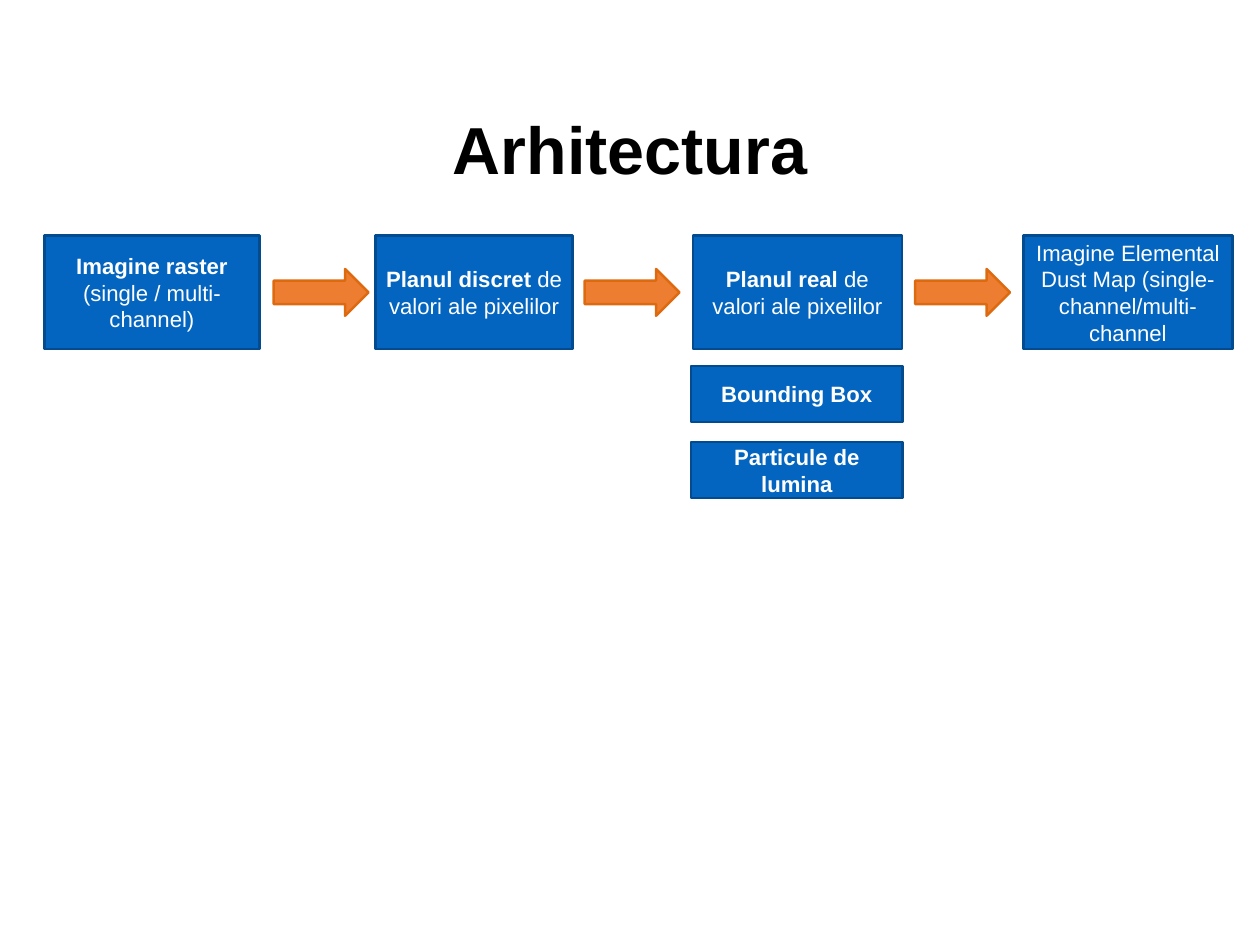
from dataclasses import dataclass

from pptx import Presentation
from pptx.dml.color import RGBColor
from pptx.enum.shapes import MSO_SHAPE as Shape
from pptx.enum.text import MSO_ANCHOR as Anchor, PP_ALIGN as Align
from pptx.util import Pt


@dataclass(frozen=True)
class Theme:
    """Colours, type sizes and line width of the slide."""
    font: str = "Arial"
    title_size: float = 54
    body_size: float = 18
    line_width: float = 2
    title: str = "000000"
    label: str = "FFFFFF"
    box: tuple = ("0365C0", "024B8E")
    arrow: tuple = ("ED7D31", "DE6A10")


THEME = Theme()
STAGES = [
    (0, 175, [[("Imagine raster", True)], [("(single / multi-channel)", False)]]),
    (269.3, 160, [[("Planul discret", True), (" de valori ale pixelilor", False)]]),
    (527, 170, [[("Planul real", True), (" de valori ale pixelilor", False)]]),
    (795.6, 170, [[("Imagine Elemental Dust Map (single-channel/multi-channel", False)]]),
]
ARROW_LEFTS = [186.5, 439.2, 707.8]
DETAILS = ["Bounding Box", "Particule de lumina"]


def apply_format(target, values):
    """Set each named attribute on the target."""
    for name, value in values.items():
        setattr(target, name, value)


def write_text(shape, paragraphs, size, color, margins):
    """Write centred paragraphs of (text, bold) runs."""
    frame = shape.text_frame
    horizontal, vertical = (Pt(margin) for margin in margins)
    apply_format(frame, {
        "word_wrap": True, "vertical_anchor": Anchor.MIDDLE,
        "margin_left": horizontal, "margin_right": horizontal,
        "margin_top": vertical, "margin_bottom": vertical,
    })
    for index, runs in enumerate(paragraphs):
        paragraph = frame.add_paragraph() if index else frame.paragraphs[0]
        paragraph.alignment = Align.CENTER
        for text, bold in runs:
            run = paragraph.add_run()
            run.text = text
            apply_format(run.font, {"name": THEME.font, "size": Pt(size), "bold": bold})
            run.font.color.rgb = RGBColor.from_string(color)


def add_block(slide, kind, box, colors):
    """Add a filled and outlined preset shape."""
    shape = slide.shapes.add_shape(kind, *map(Pt, box))
    fill, line = map(RGBColor.from_string, colors)
    shape.shadow.inherit = False
    shape.fill.solid()
    shape.fill.fore_color.rgb = fill
    shape.line.color.rgb = line
    shape.line.width = Pt(THEME.line_width)
    return shape


def add_label_box(slide, box, paragraphs):
    """Add a blue rectangle with a label."""
    shape = add_block(slide, Shape.RECTANGLE, box, THEME.box)
    write_text(shape, paragraphs, THEME.body_size, THEME.label, (7.2, 3.6))


def add_title(slide, box):
    """Add the slide title."""
    shape = slide.shapes.add_textbox(*map(Pt, box))
    write_text(shape, [[("Arhitectura", True)]], THEME.title_size, THEME.title, (0, 0))


def add_flow(slide, box):
    """Add the row of stages and the arrows between them."""
    left, top, _, height = box
    arrow_width, arrow_height = 77, 38
    for offset, width, paragraphs in STAGES:
        add_label_box(slide, (left + offset, top, width, height), paragraphs)
    for offset in ARROW_LEFTS:
        arrow_top = top + (height - arrow_height) / 2
        add_block(slide, Shape.RIGHT_ARROW,
                  (left + offset, arrow_top, arrow_width, arrow_height), THEME.arrow)


def add_details(slide, box):
    """Stack the detail boxes from the top to the bottom of the box."""
    left, top, width, height = box
    detail_height = 45.4
    step = (height - detail_height) / (len(DETAILS) - 1)
    for index, text in enumerate(DETAILS):
        add_label_box(slide, (left, top + index * step, width, detail_height), [[(text, True)]])


def main():
    """Build and save the slide."""
    presentation = Presentation()
    apply_format(presentation, {"slide_width": Pt(1024), "slide_height": Pt(768)})
    slide = presentation.slides.add_slide(presentation.slide_layouts[6])
    add_title(slide, (75, 35.3, 874, 170))
    add_flow(slide, (36, 191.5, 965.6, 92.2))
    add_details(slide, (561.6, 297.4, 172, 107.3))
    presentation.save("out.pptx")


if __name__ == "__main__":
    main()
